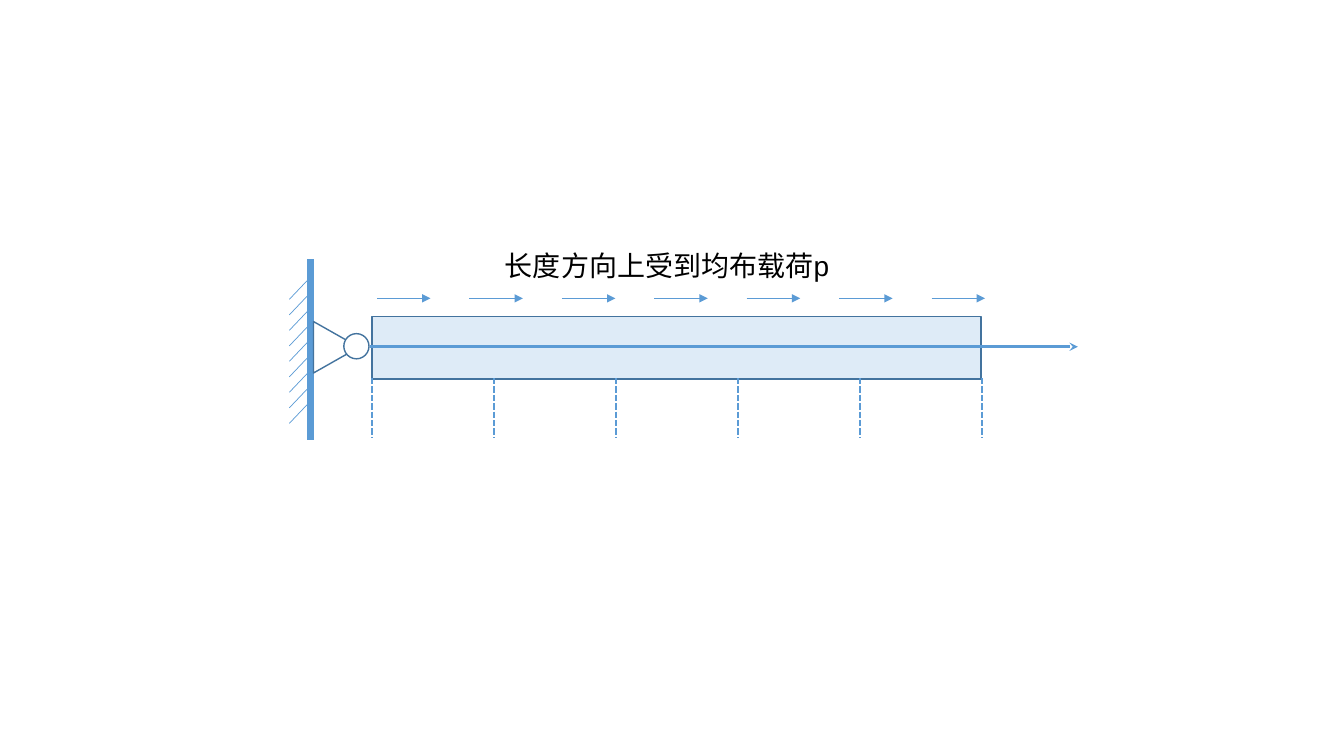
from lxml import etree
from pptx import Presentation
from pptx.dml.color import RGBColor
from pptx.enum.dml import MSO_LINE
from pptx.enum.shapes import MSO_CONNECTOR, MSO_SHAPE
from pptx.oxml.ns import qn
from pptx.util import Inches, Pt

STRAIGHT = MSO_CONNECTOR.STRAIGHT
RECT, OVAL, TRIANGLE = MSO_SHAPE.RECTANGLE, MSO_SHAPE.OVAL, MSO_SHAPE.ISOSCELES_TRIANGLE
SHORT_DASH = MSO_LINE.SQUARE_DOT

BLUE = RGBColor(0x5B, 0x9B, 0xD5)
DARK_BLUE = RGBColor(0x43, 0x73, 0x9E)
PALE_BLUE = RGBColor(0xDE, 0xEB, 0xF7)
WHITE = RGBColor(0xFF, 0xFF, 0xFF)
BLACK = RGBColor(0, 0, 0)

# Content, lengths in inches
LABEL = "长度方向上受到均布载荷p"
LABEL_BOX = (4.91, 2.42, 4.61, 0.44)
WALL = (3.08, 2.57, 3.08, 4.37)
AXIS = (3.67, 3.44, 10.69, 3.44)
PARTS = [  # shape, box, fill, rotation
    (TRIANGLE, (3.08, 3.22, 0.51, 0.45), WHITE, 90),
    (OVAL, (3.41, 3.31, 0.25, 0.25), WHITE, 0),
    (RECT, (3.69, 3.14, 6.04, 0.62), PALE_BLUE, 0),
]
HATCHES = (2.97, 4.2, 9)      # first, last, count
LOADS = (3.74, 9.24, 7)
DIVISIONS = (3.69, 9.74, 6)
HATCH_LEFT, HATCH_RIGHT, HATCH_RISE = 2.87, 3.06, 0.2
LOAD_Y, LOAD_LENGTH = 2.96, 0.53
DIVISION_TOP, DIVISION_BOTTOM = 3.75, 4.34


def spread(first, last, count):
    step = (last - first) / (count - 1)
    return [first + i * step for i in range(count)]


def add_line(s, ends, width, head=None, dash=None):
    line = s.shapes.add_connector(STRAIGHT, *map(Inches, ends))
    line.line.color.rgb = BLUE
    line.line.width = Pt(width)
    if dash:
        line.line.dash_style = dash
    sp_pr = line._element.spPr
    if head:
        etree.SubElement(sp_pr.find(qn("a:ln")), qn("a:tailEnd"), type=head)
    etree.SubElement(sp_pr, qn("a:effectLst"))


def add_part(s, kind, box, fill, rotation):
    sp = s.shapes.add_shape(kind, *map(Inches, box))
    sp.rotation = rotation
    sp.shadow.inherit = False
    sp.fill.solid()
    sp.fill.fore_color.rgb = fill
    sp.line.color.rgb = DARK_BLUE
    sp.line.width = Pt(1)


def main():
    prs = Presentation()
    prs.slide_width, prs.slide_height = Inches(13.33), Inches(7.5)
    s = prs.slides.add_slide(prs.slide_layouts[6])

    # Hatched wall
    for y in spread(*HATCHES):
        add_line(s, (HATCH_LEFT, y, HATCH_RIGHT, y - HATCH_RISE), 0.5)
    add_line(s, WALL, 5)

    # Hinge, bar and axis
    for part in PARTS:
        add_part(s, *part)
    add_line(s, AXIS, 2, head="stealth")

    # Distributed load
    for x in spread(*LOADS):
        add_line(s, (x, LOAD_Y, x + LOAD_LENGTH, LOAD_Y), 0.5, head="triangle")
    tf = s.shapes.add_textbox(*map(Inches, LABEL_BOX)).text_frame
    tf.word_wrap = True
    p = tf.paragraphs[0]
    p.text = LABEL
    p.font.name = "Arial"
    p.font.size = Pt(20)
    p.font.color.rgb = BLACK

    # Element divisions
    for x in spread(*DIVISIONS):
        add_line(s, (x, DIVISION_TOP, x, DIVISION_BOTTOM), 1.5, dash=SHORT_DASH)

    prs.save("out.pptx")


if __name__ == "__main__":
    main()
